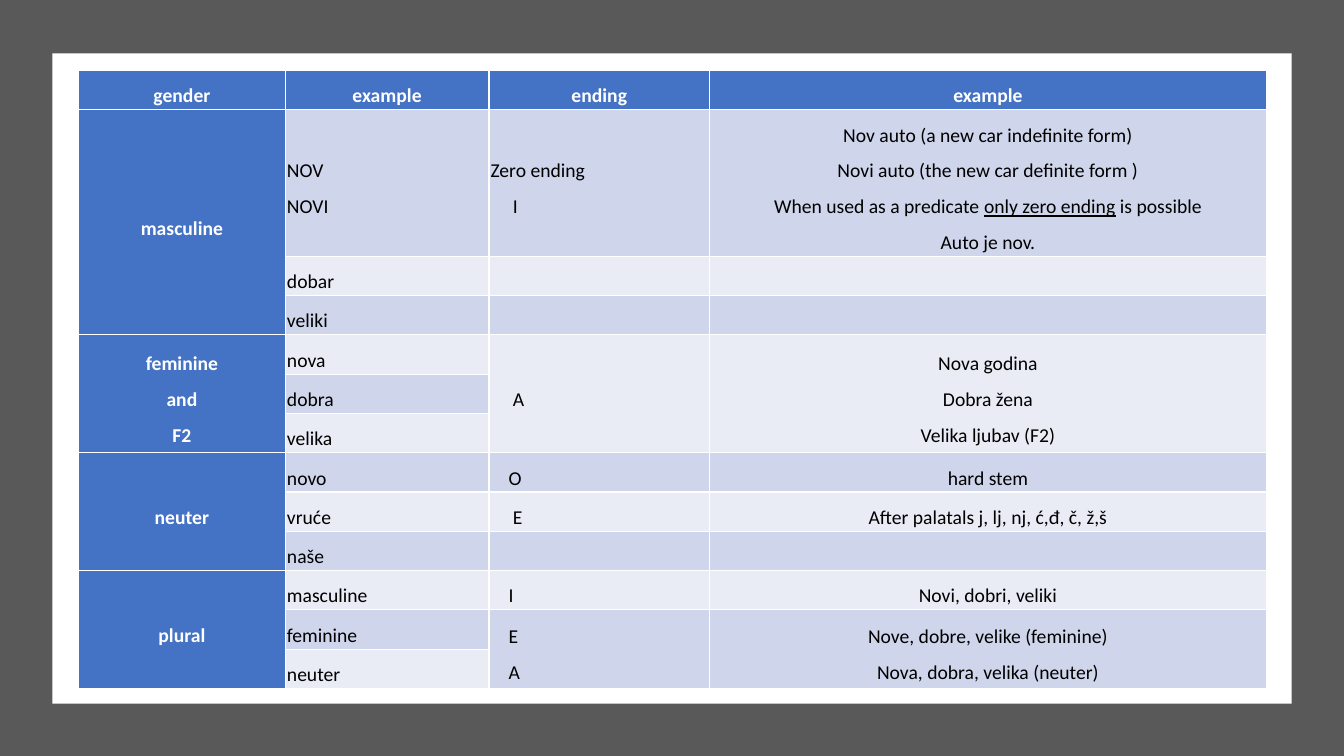
from pptx import Presentation
from pptx.dml.color import RGBColor
from pptx.enum.shapes import MSO_SHAPE as Shape
from pptx.enum.text import MSO_ANCHOR as Anchor, PP_ALIGN as Align
from pptx.util import Inches, Pt

WHITE = RGBColor(0xFF, 0xFF, 0xFF)
BLACK = RGBColor(0, 0, 0)
GREY = RGBColor(0x59, 0x59, 0x59)
BLUE = RGBColor(0x44, 0x72, 0xC4)
BANDS = [RGBColor(0xE9, 0xEB, 0xF5), RGBColor(0xCF, 0xD5, 0xEA)]

ABOVE = None
UNDERLINED = "only zero ending"
GENDER, EXAMPLE, ENDING, USE = range(4)
ROWS = [
    ("gender", "example", "ending", "example"),
    ("masculine", "NOV\nNOVI", "Zero ending\nI",
     "Nov auto (a new car indefinite form)\n"
     "Novi auto (the new car definite form )\n"
     "When used as a predicate only zero ending is possible\n"
     "Auto je nov."),
    (ABOVE, "dobar", "", ""),
    (ABOVE, "veliki", "", ""),
    ("feminine\nand\nF2", "nova", "A", "Nova godina\nDobra žena\nVelika ljubav (F2)"),
    (ABOVE, "dobra", ABOVE, ABOVE),
    (ABOVE, "velika", ABOVE, ABOVE),
    ("neuter", "novo", "O", "hard stem"),
    (ABOVE, "vruće", "E", "After palatals j, lj, nj, ć,đ, č, ž,š"),
    (ABOVE, "naše", "", ""),
    ("plural", "masculine", "I", "Novi, dobri, veliki"),
    (ABOVE, "feminine", "E\nA", "Nove, dobre, velike (feminine)\nNova, dobra, velika (neuter)"),
    (ABOVE, "neuter", ABOVE, ABOVE),
]
COLUMN_WIDTHS = [2.05, 2.02, 2.19, 5.52]
ROW_HEIGHT, TALL_ROW, TALL_HEIGHT = 0.39, 1, 1.41
DEEP_INDENT, INDENT = 0.22, 0.18
DEEP_ROWS = {1, 4, 8}


def add_panel(page, left, top, width, height, color):
    panel = page.shapes.add_shape(Shape.RECTANGLE, *map(Inches, (left, top, width, height)))
    panel.shadow.inherit = False
    panel.fill.solid()
    panel.fill.fore_color.rgb = color
    panel.line.fill.background()


def write_line(para, line, heading, centered):
    before, mark, after = line.partition(UNDERLINED)
    for words in filter(None, (before, mark, after)):
        span = para.add_run()
        span.text = words
        span.font.name = "Calibri"
        span.font.size = Pt(14)
        span.font.bold = heading
        span.font.color.rgb = WHITE if heading else BLACK
        if words == UNDERLINED:
            span.font.underline = True
    para.line_spacing = 1.5
    para.alignment = Align.CENTER if centered else Align.LEFT


def fill_cell(cell, text, row, column):
    heading = row == 0 or column == GENDER
    cell.fill.solid()
    cell.fill.fore_color.rgb = BLUE if heading else BANDS[row % 2]
    cell.vertical_anchor = Anchor.MIDDLE
    cell.margin_left = cell.margin_right = cell.margin_top = cell.margin_bottom = Pt(1.2)
    for number, line in enumerate(text.split("\n") if text else []):
        frame = cell.text_frame
        para = frame.add_paragraph() if number else frame.paragraphs[0]
        write_line(para, line, heading, heading or column == USE)
        if column == ENDING and len(line) == 1:
            indent = DEEP_INDENT if row in DEEP_ROWS else INDENT
            para._p.get_or_add_pPr().set("marL", str(Inches(indent)))


deck = Presentation()
deck.slide_width, deck.slide_height = Inches(13.33), Inches(7.5)
page = deck.slides.add_slide(deck.slide_layouts[6])
add_panel(page, 0, 0, 13.33, 7.5, GREY)
add_panel(page, 0.52, 0.53, 12.29, 6.45, WHITE)

heights = [TALL_HEIGHT if row == TALL_ROW else ROW_HEIGHT for row in range(len(ROWS))]
table = page.shapes.add_table(
    len(ROWS), len(COLUMN_WIDTHS), Inches(0.78), Inches(0.7),
    Inches(sum(COLUMN_WIDTHS)), Inches(sum(heights))).table
table.first_col = True
for column, width in zip(table.columns, COLUMN_WIDTHS):
    column.width = Inches(width)
for row, height in zip(table.rows, heights):
    row.height = Inches(height)

for row, texts in enumerate(ROWS):
    for column, text in enumerate(texts):
        fill_cell(table.cell(row, column), text, row, column)
        last = row
        while last + 1 < len(ROWS) and ROWS[last + 1][column] is ABOVE:
            last += 1
        if text is not ABOVE and last > row:
            table.cell(row, column).merge(table.cell(last, column))

deck.save("out.pptx")
